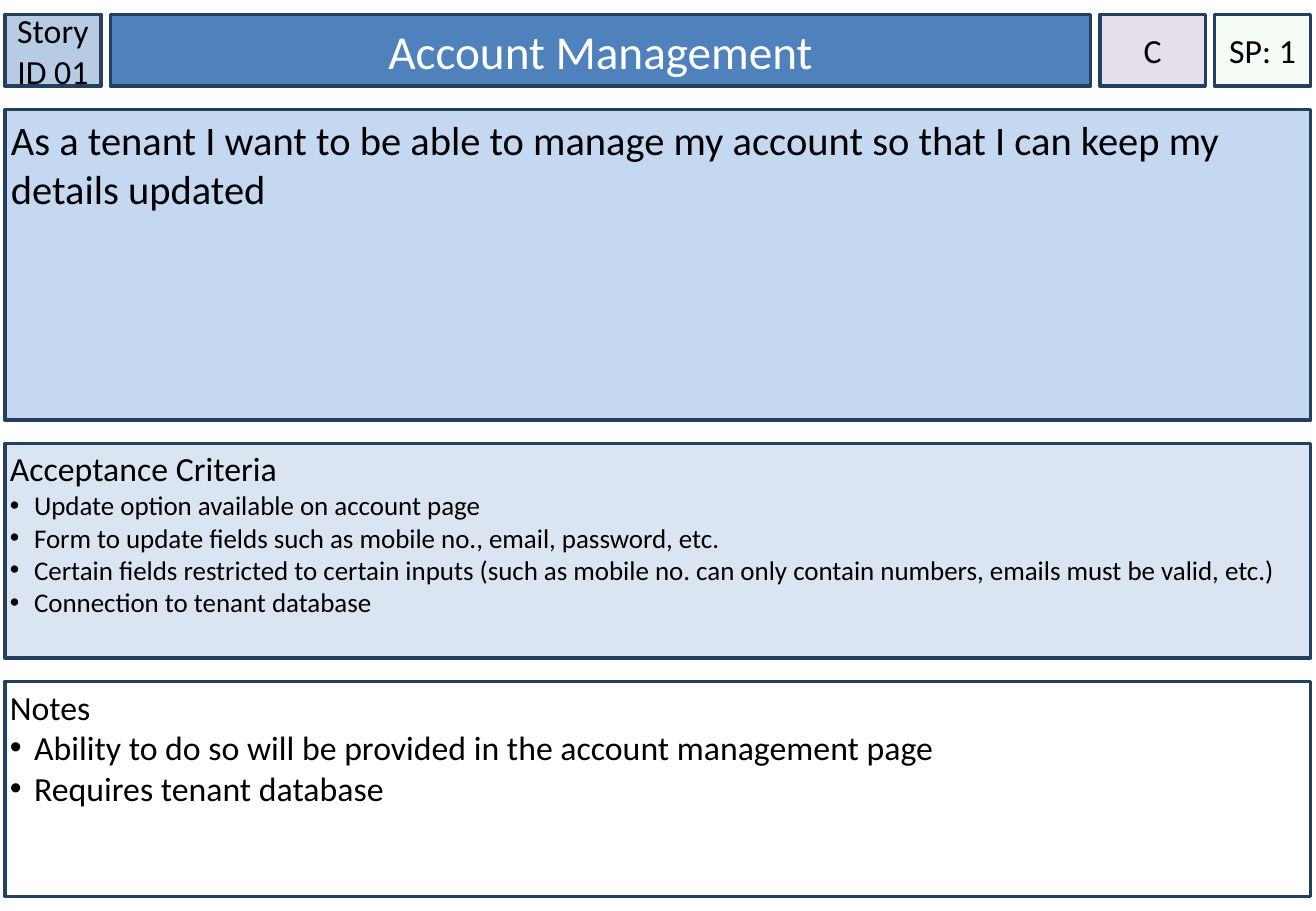
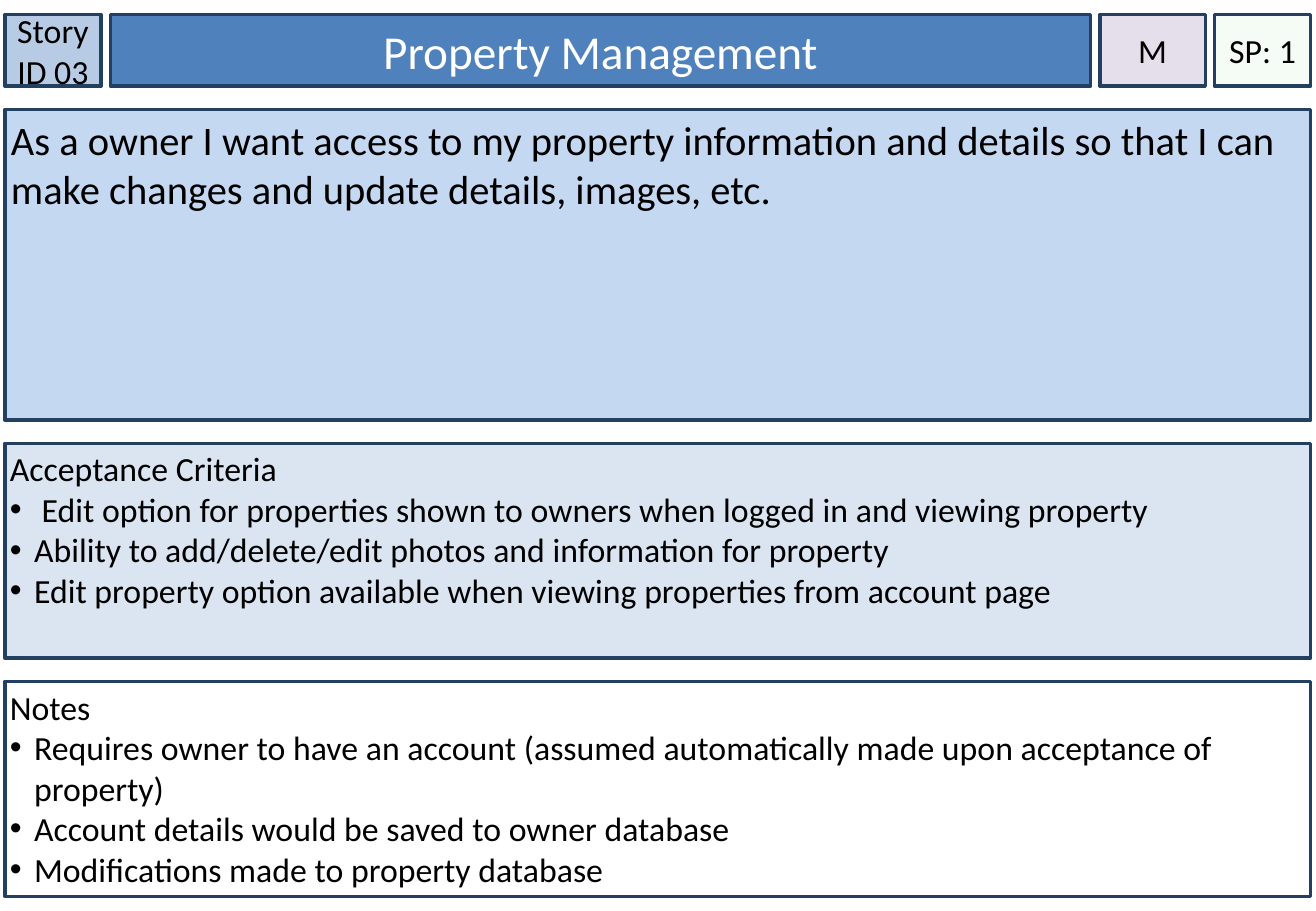
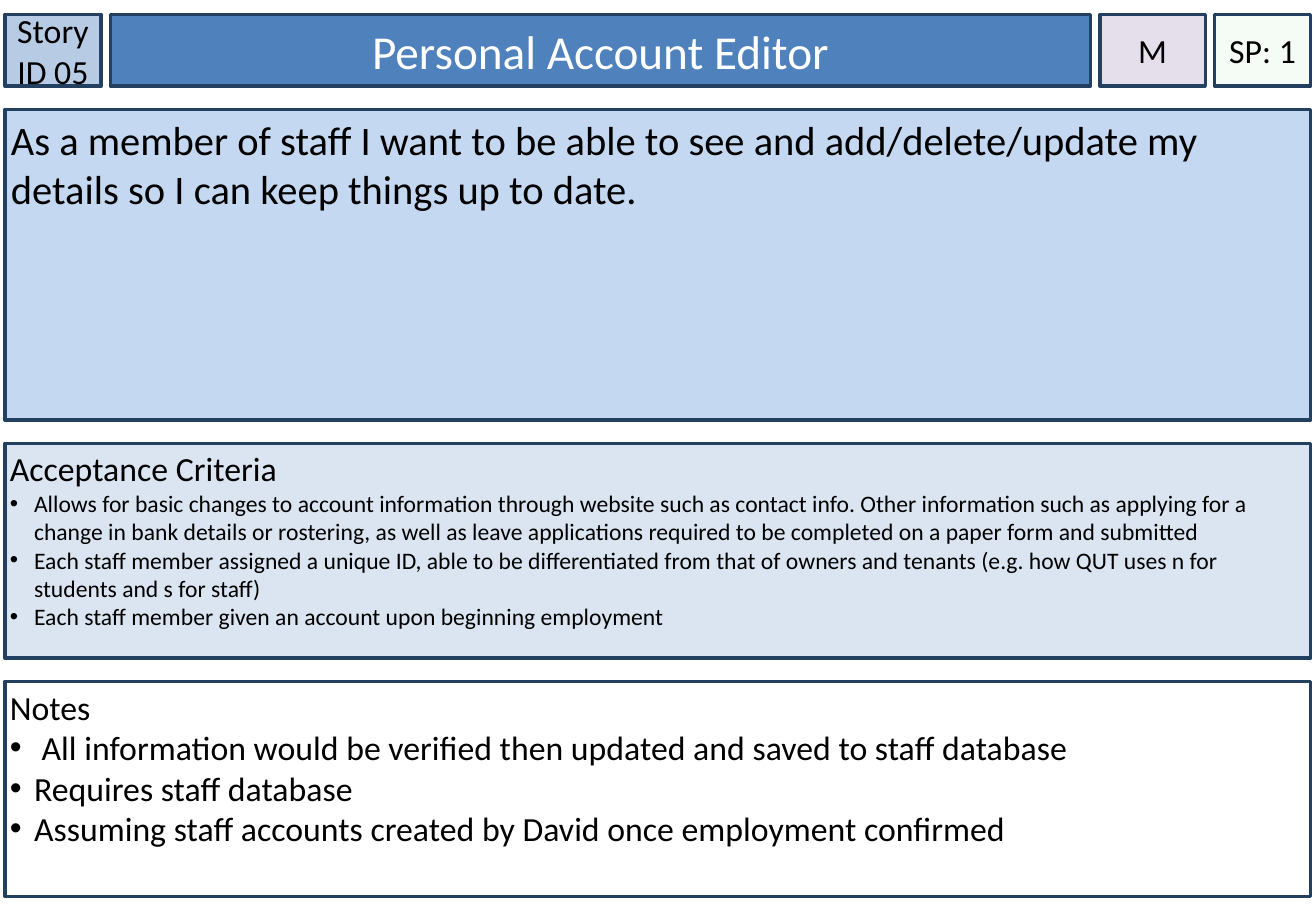
from lxml.etree import SubElement
from pptx import Presentation
from pptx.dml.color import RGBColor
from pptx.enum.shapes import MSO_SHAPE as Shape
from pptx.enum.text import MSO_ANCHOR as Anchor, PP_ALIGN as Align
from pptx.oxml.ns import qn
from pptx.util import Pt

FONT = "Calibri"
COLORS = {
    "line": "244061",
    "text": "000000",
    "title_text": "FFFFFF",
    "story_id": "B7CCE4",
    "title": "4F81BD",
    "priority": "E5DFEC",
    "points": "CCF0CD",
    "story": "C5D8F1",
    "criteria": "DAE5F1",
    "notes": "FFFFFF",
}
PAGE_WIDTH, PAGE_HEIGHT = 780, 540
LEFT, TOP, WIDTH = 2.9, 8.6, 774
COLUMN_GAP, ROW_GAP = 5.5, 13.7
HEADER_HEIGHT, STORY_HEIGHT, LIST_HEIGHT = 42.5, 184.3, 127.4
BULLET_INDENT = 14.4

CARDS = [
    {
        "id": "01",
        "title": "Account Management",
        "priority": "C",
        "story": "As a tenant I want to be able to manage my account so that I can keep my details updated",
        "criteria_size": 16,
        "criteria": [
            "Update option available on account page",
            "Form to update fields such as mobile no., email, password, etc.",
            "Certain fields restricted to certain inputs (such as mobile no. can only contain numbers, emails must be valid, etc.)",
            "Connection to tenant database",
        ],
        "notes": [
            "Ability to do so will be provided in the account management page",
            "Requires tenant database",
        ],
    },
    {
        "id": "03",
        "title": "Property Management",
        "priority": "M",
        "story": "As a owner I want access to my property information and details so that I can make changes and update details, images, etc.",
        "criteria_size": 20,
        "criteria": [
            " Edit option for properties shown to owners when logged in and viewing property",
            "Ability to add/delete/edit photos and information for property",
            "Edit property option available when viewing properties from account page",
        ],
        "notes": [
            "Requires owner to have an account (assumed automatically made upon acceptance of property)",
            "Account details would be saved to owner database",
            "Modifications made to property database",
        ],
    },
    {
        "id": "05",
        "title": "Personal Account Editor",
        "priority": "M",
        "story": "As a member of staff I want to be able to see and add/delete/update my details so I can keep things up to date.",
        "criteria_size": 14,
        "criteria": [
            "Allows for basic changes to account information through website such as contact info. Other information such as applying for a change in bank details or rostering, as well as leave applications required to be completed on a paper form and submitted",
            "Each staff member assigned a unique ID, able to be differentiated from that of owners and tenants (e.g. how QUT uses n for students and s for staff)",
            "Each staff member given an account upon beginning employment",
        ],
        "notes": [
            " All information would be verified then updated and saved to staff database",
            "Requires staff database",
            "Assuming staff accounts created by David once employment confirmed",
        ],
    },
]


def rgb(name):
    return RGBColor.from_string(COLORS[name])


def add_panel(page, area, fill, inset, anchor=Anchor.TOP):
    panel = page.shapes.add_shape(Shape.RECTANGLE, *(Pt(length) for length in area))
    panel.shadow.inherit = False
    panel.fill.solid()
    panel.fill.fore_color.rgb = rgb(fill)
    panel.line.color.rgb = rgb("line")
    panel.line.width = Pt(2)
    frame = panel.text_frame
    frame.word_wrap = True
    frame.vertical_anchor = anchor
    frame.margin_left = frame.margin_right = Pt(inset)
    frame.margin_top = frame.margin_bottom = Pt(inset)
    return panel


def write(para, text, size, color="text", align=Align.LEFT):
    para.text = text
    para.alignment = align
    for span in para.runs:
        span.font.name = FONT
        span.font.size = Pt(size)
        span.font.color.rgb = rgb(color)


def add_bullet(para):
    props = para._p.get_or_add_pPr()
    props.set("marL", str(Pt(BULLET_INDENT)))
    props.set("indent", str(-Pt(BULLET_INDENT)))
    color = SubElement(props, qn("a:buClr"))
    SubElement(color, qn("a:srgbClr"), val=COLORS["text"])
    SubElement(props, qn("a:buFont"), typeface="Arial")
    SubElement(props, qn("a:buChar"), char="•")


def set_opacity(panel, percent):
    color = panel.fill._xPr.find(qn("a:solidFill")).find(qn("a:srgbClr"))
    SubElement(color, qn("a:alpha"), val=str(percent * 1000))


def add_header(page, area, card):
    left, top, width, height = area
    id_width, priority_width = 57, 62.5
    title_width = width - 2 * id_width - priority_width - 3 * COLUMN_GAP
    cells = [
        ("story_id", f"Story ID {card['id']}", id_width, 20, "text", 0),
        ("title", card["title"], title_width, 28, "title_text", 3.6),
        ("priority", card["priority"], priority_width, 20, "text", 0),
        ("points", "SP: 1", id_width, 20, "text", 0),
    ]
    for fill, text, cell_width, size, color, inset in cells:
        cell = add_panel(page, (left, top, cell_width, height), fill, inset, Anchor.MIDDLE)
        write(cell.text_frame.paragraphs[0], text, size, color, Align.CENTER)
        if fill == "points":
            set_opacity(cell, 20)
        left += cell_width + COLUMN_GAP


def add_story(page, area, text):
    panel = add_panel(page, area, "story", 3.6)
    write(panel.text_frame.paragraphs[0], text, 24)


def add_list(page, area, fill, heading, items, size):
    frame = add_panel(page, area, fill, 2.9).text_frame
    write(frame.paragraphs[0], heading, 20)
    for item in items:
        para = frame.add_paragraph()
        add_bullet(para)
        write(para, item, size)


def add_card(deck, card):
    page = deck.slides.add_slide(deck.slide_layouts[6])
    areas = []
    top = TOP
    for height in (HEADER_HEIGHT, STORY_HEIGHT, LIST_HEIGHT, LIST_HEIGHT):
        areas.append((LEFT, top, WIDTH, height))
        top += height + ROW_GAP
    header, story, criteria, notes = areas
    add_header(page, header, card)
    add_story(page, story, card["story"])
    add_list(page, criteria, "criteria", "Acceptance Criteria", card["criteria"], card["criteria_size"])
    add_list(page, notes, "notes", "Notes", card["notes"], 20)


def main():
    deck = Presentation()
    deck.slide_width, deck.slide_height = Pt(PAGE_WIDTH), Pt(PAGE_HEIGHT)
    for card in CARDS:
        add_card(deck, card)
    deck.save("out.pptx")


if __name__ == "__main__":
    main()
